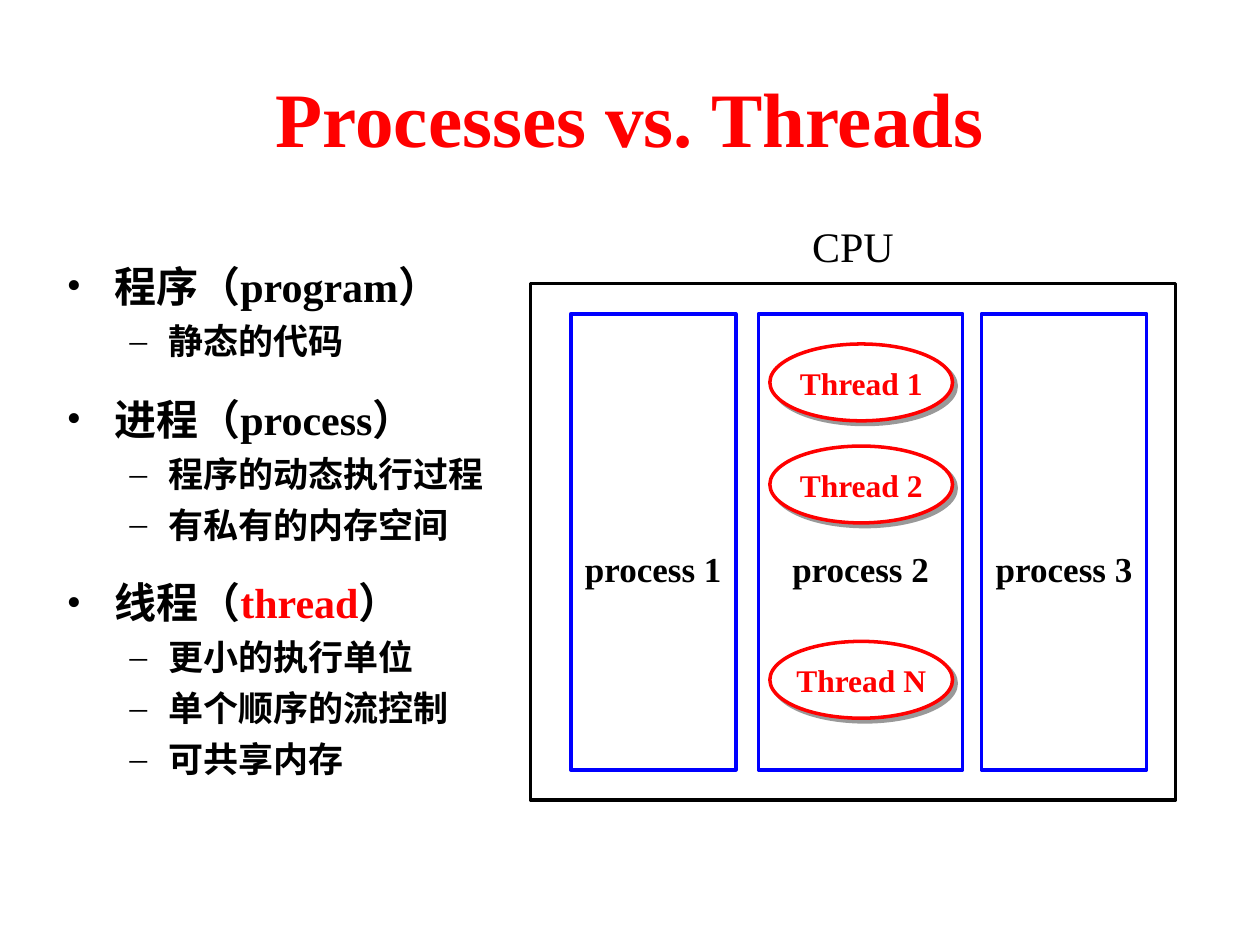
from dataclasses import dataclass

from lxml.etree import SubElement
from pptx import Presentation
from pptx.dml.color import RGBColor
from pptx.enum.shapes import MSO_SHAPE
from pptx.enum.text import MSO_ANCHOR, PP_ALIGN
from pptx.oxml.ns import qn
from pptx.util import Inches, Pt


@dataclass(frozen=True)
class Theme:
    font: str = "Times New Roman"
    black: RGBColor = RGBColor(0, 0, 0)
    white: RGBColor = RGBColor(255, 255, 255)
    red: RGBColor = RGBColor(255, 0, 0)
    blue: RGBColor = RGBColor(0, 0, 255)
    title_size: int = 44
    heading_size: int = 24
    detail_size: int = 20
    thread_size: int = 18
    line_width: int = 2


@dataclass(frozen=True)
class Box:
    left: float
    top: float
    width: float
    height: float

    def inside(self, left, top, width, height):
        return Box(self.left + left, self.top + top, width, height)

    def lengths(self):
        return [Inches(value) for value in (self.left, self.top, self.width, self.height)]


THEME = Theme()
LEVELS = (
    {"bullet": "•", "margin": 0.38, "indent": -0.38, "before": 18, "size": THEME.heading_size},
    {"bullet": "–", "margin": 0.81, "indent": -0.31, "before": 5, "size": THEME.detail_size},
)
TOPICS = (
    ("程序（", "program", "）", THEME.black, ("静态的代码",)),
    ("进程（", "process", "）", THEME.black, ("程序的动态执行过程", "有私有的内存空间")),
    ("线程（", "thread", "）", THEME.red, ("更小的执行单位", "单个顺序的流控制", "可共享内存")),
)
PROCESSES = (("process 1", 0.32, 1.31), ("process 2", 1.81, 1.62), ("process 3", 3.58, 1.31))
THREADS = (("Thread 1", 0.24), ("Thread 2", 1.05), ("Thread N", 2.6))


def apply_format(target, values):
    for name, value in values.items():
        setattr(target, name, value)


def add_run(paragraph, text, size, color=THEME.black, bold=True):
    run = paragraph.add_run()
    run.text = text
    apply_format(run.font, {"name": THEME.font, "size": Pt(size), "bold": bold})
    run.font.color.rgb = color


def add_label(slide, box, text, size, color=THEME.black, bold=True, **frame_format):
    frame = slide.shapes.add_textbox(*box.lengths()).text_frame
    apply_format(frame, {"word_wrap": True, **frame_format})
    paragraph = frame.paragraphs[0]
    paragraph.alignment = PP_ALIGN.CENTER
    add_run(paragraph, text, size, color, bold)


def add_outline(slide, box, preset, color):
    shape = slide.shapes.add_shape(preset, *box.lengths())
    shape.shadow.inherit = False
    shape.fill.solid()
    shape.fill.fore_color.rgb = THEME.white
    shape.line.color.rgb = color
    shape.line.width = Pt(THEME.line_width)
    return shape


def add_drop_shadow(shape):
    effects = shape._element.spPr.find(qn("a:effectLst"))
    shadow = SubElement(effects, qn("a:outerShdw"), blurRad="0", dist=str(Pt(3)),
                        dir="2700000", algn="tl", rotWithShape="0")
    color = SubElement(shadow, qn("a:srgbClr"), val=str(THEME.black))
    SubElement(color, qn("a:alpha"), val="40000")


def start_bullet(paragraph, level, first=False):
    style = LEVELS[level]
    properties = paragraph._p.get_or_add_pPr()
    properties.set("marL", str(Inches(style["margin"])))
    properties.set("indent", str(Inches(style["indent"])))
    color = SubElement(properties, qn("a:buClr"))
    SubElement(color, qn("a:srgbClr"), val=str(THEME.black))
    SubElement(properties, qn("a:buFont"), typeface=THEME.font)
    SubElement(properties, qn("a:buChar"), char=style["bullet"])
    apply_format(paragraph, {"level": level, "space_before": Pt(0 if first else style["before"])})
    return style["size"]


def add_title(slide, box):
    add_label(slide, box, "Processes vs. Threads", THEME.title_size, THEME.red,
              vertical_anchor=MSO_ANCHOR.MIDDLE)


def add_topics(slide, box):
    frame = slide.shapes.add_textbox(*box.lengths()).text_frame
    frame.word_wrap = True
    for index, (opening, term, closing, color, details) in enumerate(TOPICS):
        first = index == 0
        paragraph = frame.paragraphs[0] if first else frame.add_paragraph()
        size = start_bullet(paragraph, 0, first)
        if color == THEME.black:
            add_run(paragraph, opening + term + closing, size)
        else:
            add_run(paragraph, opening, size)
            add_run(paragraph, term, size, color)
            add_run(paragraph, closing, size)
        for detail in details:
            paragraph = frame.add_paragraph()
            add_run(paragraph, detail, start_bullet(paragraph, 1))


def add_thread(slide, box, name):
    add_drop_shadow(add_outline(slide, box, MSO_SHAPE.OVAL, THEME.red))
    add_label(slide, box.inside(0, 0.11, box.width, 0.4), name, THEME.thread_size, THEME.red,
              word_wrap=False)


def add_process(slide, box, name):
    add_outline(slide, box, MSO_SHAPE.RECTANGLE, THEME.blue)
    add_label(slide, box.inside(0, 1.81, box.width, 0.44), name, THEME.detail_size)


def add_processor(slide, box):
    add_label(slide, box.inside(0, -0.55, box.width, 0.5), "CPU", THEME.heading_size, bold=False)
    add_outline(slide, box, MSO_SHAPE.RECTANGLE, THEME.black)
    for name, left, width in PROCESSES:
        add_process(slide, box.inside(left, 0.24, width, 3.62), name)
    threaded = box.inside(PROCESSES[1][1], 0.24, PROCESSES[1][2], 3.62)
    for name, top in THREADS:
        add_thread(slide, threaded.inside(0.09, top, 1.45, 0.61), name)


def main():
    presentation = Presentation()
    apply_format(presentation, {"slide_width": Inches(10), "slide_height": Inches(7.5)})
    slide = presentation.slides.add_slide(presentation.slide_layouts[6])
    add_title(slide, Box(0.5, 0.3, 9, 1.25))
    add_topics(slide, Box(0.43, 2.02, 9, 5.04))
    add_processor(slide, Box(4.21, 2.25, 5.12, 4.1))
    presentation.save("out.pptx")


if __name__ == "__main__":
    main()
